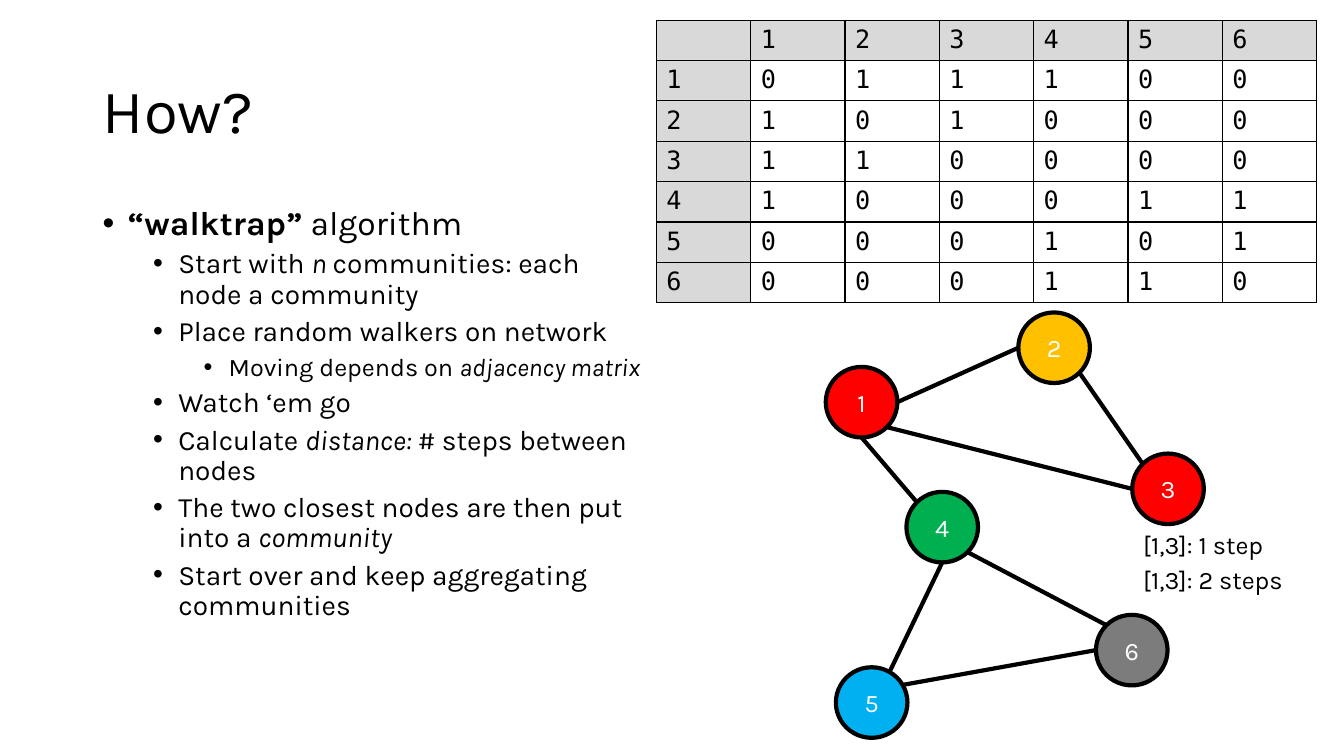
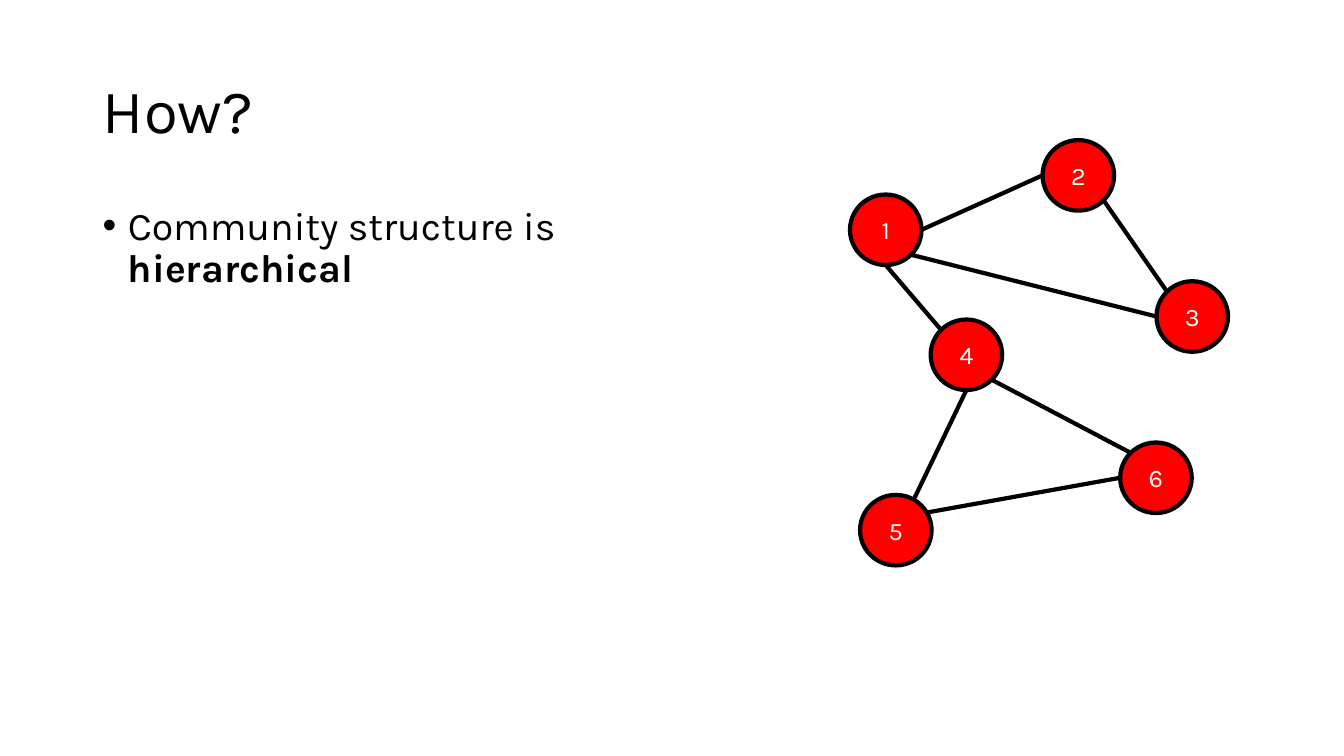
import math

from lxml import etree
from pptx import Presentation
from pptx.dml.color import RGBColor
from pptx.enum import shapes, text
from pptx.oxml import ns
from pptx.util import Inches, Pt

# Shared style
FONT = "Karla"
TABLE_FONT = "DejaVu Sans Mono"
BLACK = RGBColor(0x00, 0x00, 0x00)
WHITE = RGBColor(0xFF, 0xFF, 0xFF)
RED = RGBColor(0xFF, 0x00, 0x00)
GREEN = RGBColor(0x00, 0xB0, 0x50)
AMBER = RGBColor(0xFF, 0xC0, 0x00)
BLUE = RGBColor(0x00, 0xB0, 0xF0)
GRAY = RGBColor(0x7C, 0x7C, 0x7C)
HEADER_GRAY = RGBColor(0xD9, 0xD9, 0xD9)
LINE_WIDTH = Pt(3)

# Network: node offsets from its top left corner, in inches
NODE_WIDTH, NODE_HEIGHT = 0.71, 0.7
NODES = {1: (0, 0.54), 4: (0.8, 1.78), 2: (1.91, 0),
         3: (3.04, 1.4), 5: (0.1, 3.52), 6: (2.68, 3)}
# Each edge: node and clockwise angle on its rim, at both ends
EDGES = [(1, 90, 4, 225), (1, 0, 2, 180), (2, 45, 3, 225), (1, 45, 3, 180),
         (4, 90, 5, -60), (5, -30, 6, 180), (4, 45, 6, 225)]

# Bullets: level, size, runs of (text, style)
WALKTRAP_BULLETS = [
    (0, 24, [("“walktrap”", "bold"), (" algorithm", "")]),
    (1, 20, [("Start with ", ""), ("n ", "italic"),
             ("communities: each node a community", "")]),
    (1, 20, [("Place random walkers on network", "")]),
    (2, 18, [("Moving depends on ", ""), ("adjacency matrix", "italic")]),
    (1, 20, [("Watch ‘em go", "")]),
    (1, 20, [("Calculate ", ""), ("distance: ", "italic"),
             ("# steps between nodes", "")]),
    (1, 20, [("The two closest nodes are then put into a ", ""),
             ("community", "italic")]),
    (1, 20, [("Start over and keep aggregating communities", "")]),
]
HIERARCHY_BULLETS = [
    (0, 28, [("Community structure is ", ""), ("hierarchical", "bold")]),
]


def add_text(paragraph, content, size=18, font=FONT, color=BLACK,
             bold=False, italic=False, align=None):
    run = paragraph.add_run()
    run.text = content
    run.font.size = Pt(size)
    run.font.name = font
    run.font.color.rgb = color
    run.font.bold = bold
    run.font.italic = italic
    if align is not None:
        paragraph.alignment = align


def add_titled_slide(presentation, title):
    slide = presentation.slides.add_slide(presentation.slide_layouts[5])
    shape = slide.shapes.title
    shape.left, shape.top = Inches(0.92), Inches(0.4)
    shape.width, shape.height = Inches(11.5), Inches(1.45)
    frame = shape.text_frame
    frame.auto_size = text.MSO_AUTO_SIZE.NONE
    frame.vertical_anchor = text.MSO_ANCHOR.MIDDLE
    paragraph = frame.paragraphs[0]
    paragraph.line_spacing = 0.9
    add_text(paragraph, title, size=44, align=text.PP_ALIGN.LEFT)
    return slide


def add_bullets(slide, bullets, width):
    box = slide.shapes.add_textbox(Inches(0.92), Inches(2), Inches(width), Inches(4.76))
    frame = box.text_frame
    frame.word_wrap = True
    for index, (level, size, runs) in enumerate(bullets):
        paragraph = frame.add_paragraph() if index else frame.paragraphs[0]
        paragraph.level = level
        paragraph.line_spacing = 0.9
        if index:
            paragraph.space_before = Pt(5)
        properties = paragraph._p.get_or_add_pPr()
        properties.set("marL", str(Inches(0.25 + 0.5 * level)))
        properties.set("indent", str(Inches(-0.25)))
        etree.SubElement(properties, ns.qn("a:buFont")).set("typeface", "Arial")
        etree.SubElement(properties, ns.qn("a:buChar")).set("char", "•")
        for content, style in runs:
            add_text(paragraph, content, size=size,
                     bold=style == "bold", italic=style == "italic")


def add_label(slide, content, left, top, width):
    box = slide.shapes.add_textbox(Inches(left), Inches(top), Inches(width), Inches(0.4))
    box.text_frame.word_wrap = False
    box.text_frame.auto_size = text.MSO_AUTO_SIZE.SHAPE_TO_FIT_TEXT
    add_text(box.text_frame.paragraphs[0], content)


def add_node(slide, number, left, top, color):
    node = slide.shapes.add_shape(shapes.MSO_SHAPE.OVAL, Inches(left), Inches(top),
                                  Inches(NODE_WIDTH), Inches(NODE_HEIGHT))
    node.shadow.inherit = False
    node.fill.solid()
    node.fill.fore_color.rgb = color
    node.line.color.rgb = BLACK
    node.line.width = LINE_WIDTH
    node.text_frame.vertical_anchor = text.MSO_ANCHOR.MIDDLE
    add_text(node.text_frame.paragraphs[0], str(number), color=WHITE,
             align=text.PP_ALIGN.CENTER)


def add_edge(slide, start, end):
    edge = slide.shapes.add_connector(shapes.MSO_CONNECTOR.STRAIGHT,
                                      *map(Inches, start + end))
    edge.line.color.rgb = BLACK
    edge.line.width = LINE_WIDTH
    etree.SubElement(edge._element.spPr, ns.qn("a:effectLst"))


def add_network(slide, left, top, colors):
    def rim_point(number, angle):
        x, y = NODES[number]
        radians = math.radians(angle)
        return (left + x + NODE_WIDTH / 2 * (1 + math.cos(radians)),
                top + y + NODE_HEIGHT / 2 * (1 + math.sin(radians)))

    for number, (x, y) in NODES.items():
        add_node(slide, number, left + x, top + y, colors.get(number, RED))
    for start, start_angle, end, end_angle in EDGES:
        add_edge(slide, rim_point(start, start_angle), rim_point(end, end_angle))


def add_cell_borders(cell):
    properties = cell._tc.get_or_add_tcPr()
    for side in ("lnL", "lnR", "lnT", "lnB"):
        border = etree.SubElement(properties, ns.qn(f"a:{side}"), w=str(Pt(1)))
        fill = etree.SubElement(border, ns.qn("a:solidFill"))
        etree.SubElement(fill, ns.qn("a:srgbClr")).set("val", str(BLACK))


def add_adjacency_matrix(slide):
    # The matrix follows from the edges of the network
    linked = {frozenset((start, end)) for start, _, end, _ in EDGES}
    count = len(NODES) + 1
    table = slide.shapes.add_table(count, count, Inches(6.51), Inches(0.2),
                                   Inches(6.55), Inches(2.8)).table
    for row in range(count):
        for column in range(count):
            cell = table.cell(row, column)
            is_header = row == 0 or column == 0
            add_cell_borders(cell)
            cell.fill.solid()
            cell.fill.fore_color.rgb = HEADER_GRAY if is_header else WHITE
            if is_header:
                value = row or column or ""
            else:
                value = int(frozenset((row, column)) in linked)
            add_text(cell.text_frame.paragraphs[0], str(value), font=TABLE_FONT)


def main():
    presentation = Presentation()
    presentation.slide_width = Inches(13.33)
    presentation.slide_height = Inches(7.5)

    # Walktrap algorithm
    slide = add_titled_slide(presentation, "How?")
    add_bullets(slide, WALKTRAP_BULLETS, width=5.59)
    add_network(slide, 8.19, 3.1, {2: AMBER, 4: GREEN, 5: BLUE, 6: GRAY})
    add_label(slide, "[1,3]: 1 step", 11.24, 5.2, 1.48)
    add_label(slide, "[1,3]: 2 steps", 11.24, 5.55, 1.59)
    add_adjacency_matrix(slide)

    # Hierarchical communities
    slide = add_titled_slide(presentation, "How?")
    add_bullets(slide, HIERARCHY_BULLETS, width=6.6)
    add_network(slide, 8.43, 1.39, {})

    presentation.save("out.pptx")


if __name__ == "__main__":
    main()
